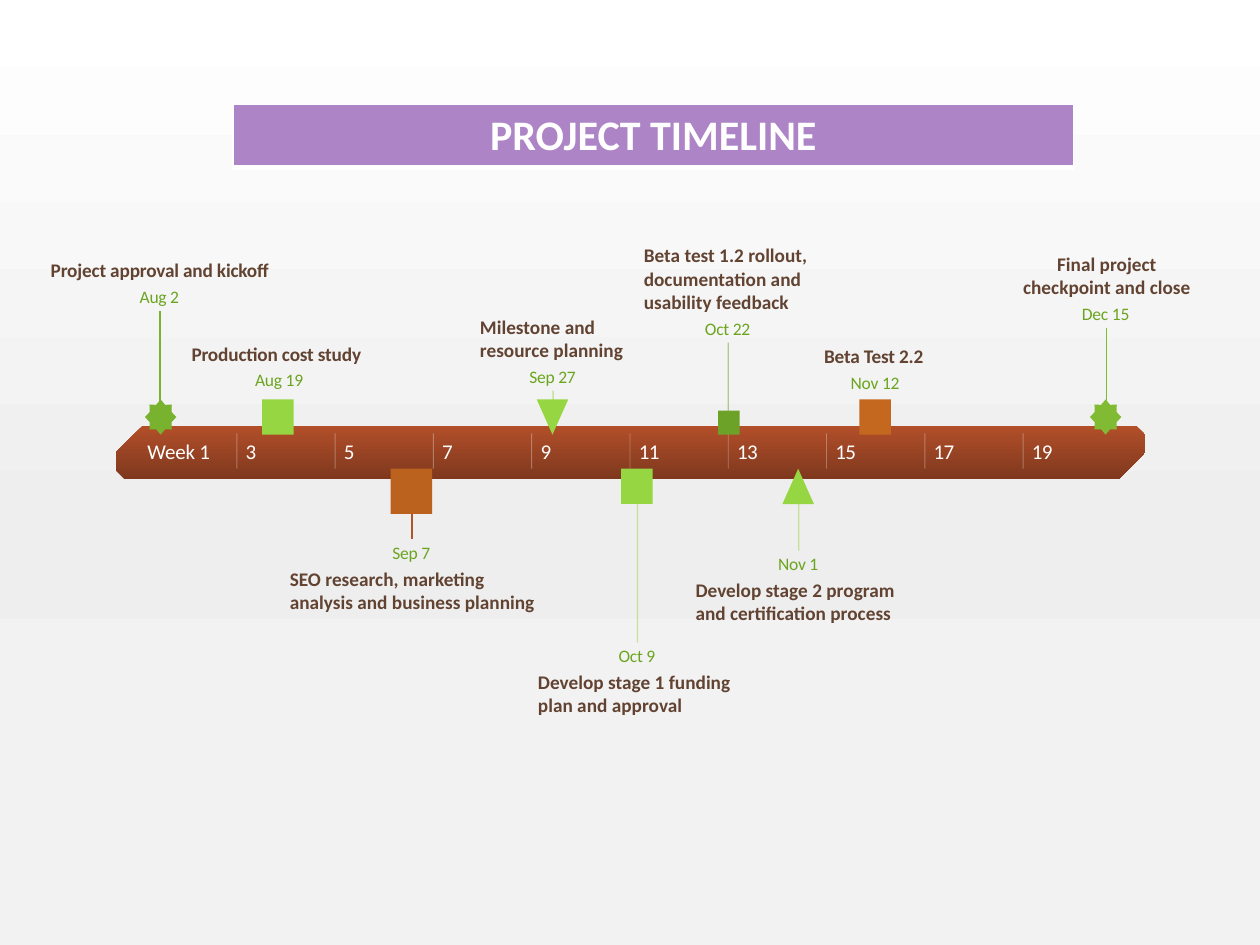
"""Build a project timeline slide with a week bar, milestones and a title band."""
from copy import deepcopy
from dataclasses import dataclass
from pptx import Presentation
from pptx.dml.color import RGBColor
from pptx.enum.shapes import MSO_CONNECTOR, MSO_SHAPE
from pptx.enum.text import MSO_ANCHOR, PP_ALIGN
from pptx.oxml.ns import qn
from pptx.oxml.xmlchemy import OxmlElement
from pptx.util import Inches, Pt

TITLE = "PROJECT TIMELINE"
WEEKS = ["Week 1", "3", "5", "7", "9", "11", "13", "15", "17", "19"]


@dataclass
class Event:
    """One milestone: wording, text place, date place and marker."""
    text: str
    left: float
    width: float
    rows: int
    date: str
    top: float
    mid: float
    kind: str
    color: str
    up: bool = True
    size: tuple = (0.25, 0.28)
    center: bool = False
    stem: str = ""
    alpha: int = 100


EVENTS = [
    Event("Project approval and kickoff", 0.38, 1.78, 1, "Aug 2", 2.27, 1.27,
          "star", "79B22E", center=True, stem="79B22E"),
    Event("Production cost study", 1.52, 1.38, 1, "Aug 19", 2.93, 2.21,
          "box", "96D642"),
    Event("Milestone and resource planning", 3.81, 1.14, 2, "Sep 27", 2.9, 4.39,
          "wedge", "96D642", stem="96D642", alpha=50),
    Event("Beta test 1.2 rollout, documentation and usability feedback",
          5.11, 1.33, 3, "Oct 22", 2.52, 5.78,
          "box", "6DA228", size=(0.17, 0.19), stem="6DA228", alpha=50),
    Event("Beta Test 2.2", 6.54, 0.81, 1, "Nov 12", 2.95, 6.94,
          "box", "C46820"),
    Event("Final project checkpoint and close", 8.12, 1.33, 2, "Dec 15", 2.4, 8.78,
          "star", "81BB34", center=True, stem="81BB34"),
    Event("SEO research, marketing analysis and business planning",
          2.3, 1.95, 2, "Sep 7", 4.3, 3.27,
          "box", "BA621E", up=False, size=(0.33, 0.36), stem="B1542C"),
    Event("Develop stage 1 funding plan and approval", 4.27, 1.57, 2, "Oct 9", 5.12, 5.06,
          "box", "96D642", up=False, stem="96D642", alpha=50),
    Event("Develop stage 2 program and certification process",
          5.52, 1.61, 2, "Nov 1", 4.39, 6.34,
          "wedge", "96D642", up=False, stem="96D642", alpha=50),
]


@dataclass(frozen=True)
class Theme:
    """Colours, font and type sizes."""
    font: str = "Calibri"
    white: str = "FFFFFF"
    label: str = "624332"
    date: str = "6BA51F"
    band: str = "AD84C6"
    bar: tuple = ((0, "B24F29"), (100, "7F381E"))
    back: tuple = ((0, "FFFFFF"), (57, "EEEEEE"), (74, "F2F2F2"), (100, "F2F2F2"))
    head: int = 24
    week: int = 12
    body: int = 11
    small: int = 10


LOOK = Theme()
KINDS = {"star": MSO_SHAPE.STAR_8_POINT, "box": MSO_SHAPE.RECTANGLE,
         "wedge": MSO_SHAPE.ISOSCELES_TRIANGLE}
HEIGHTS = {1: 0.19, 2: 0.37, 3: 0.56}

deck = Presentation()
deck.slide_width, deck.slide_height = Inches(10), Inches(7.5)
slide = deck.slides.add_slide(deck.slide_layouts[6])
shapes = slide.shapes


def place(*lengths):
    return [Inches(round(n, 2)) for n in lengths]


def write(frame, text, size=11, color=LOOK.white, bold=False, align=PP_ALIGN.LEFT, track=0):
    para = frame.paragraphs[0]
    para.alignment = align
    run = para.add_run()
    run.text = text
    font = run.font
    font.name, font.size, font.bold = LOOK.font, Pt(size), bold
    font.color.rgb = RGBColor.from_string(color)
    if track:
        run.font._element.set("spc", str(track))


def label(text, left, top, width, height, wrap=False, **style):
    frame = shapes.add_textbox(*place(left, top, width, height)).text_frame
    frame.margin_left = frame.margin_top = frame.margin_right = frame.margin_bottom = 0
    frame.word_wrap, frame.vertical_anchor = wrap, MSO_ANCHOR.MIDDLE
    write(frame, text, **style)


def blend(fill, owner, stops):
    fill.gradient()
    fill.gradient_angle = 270
    group = owner.find(".//" + qn("a:gsLst"))
    while len(group) < len(stops):
        group.append(deepcopy(group[0]))
    for stop, (spot, color) in zip(fill.gradient_stops, stops):
        stop.position = spot / 100
        stop.color.rgb = RGBColor.from_string(color)


def rule(x, top, end, color, weight, alpha):
    line = shapes.add_connector(MSO_CONNECTOR.STRAIGHT, *place(x, top, x, end))
    line.line.width = Pt(weight)
    line.line.color.rgb = RGBColor.from_string(color)
    props = line.element.spPr
    if alpha < 100:
        clear = OxmlElement("a:alpha")
        clear.set("val", str(alpha * 1000))
        props.find(".//" + qn("a:srgbClr")).append(clear)
    props.append(OxmlElement("a:effectLst"))


def solid(kind, left, top, width, height):
    shape = shapes.add_shape(kind, *place(left, top, width, height))
    shape.shadow.inherit = False
    shape.line.fill.background()
    return shape


def stem(event):
    half = event.size[1] / 2
    if event.up:
        ends = event.top + 0.2, 3.45 - half
    else:
        ends = 3.72 + half, event.top - 0.02
    rule(event.mid, *ends, event.stem, 0.75, event.alpha)


def mark(event):
    high = HEIGHTS[event.rows]
    top = event.top - 0.03 - high if event.up else event.top + 0.2
    label(event.text, event.left, top, event.width, high, wrap=event.rows > 1,
          size=LOOK.body, color=LOOK.label, bold=True,
          align=PP_ALIGN.CENTER if event.center else PP_ALIGN.LEFT,
          track=-10 if event.rows == 1 else 0)
    wide = 0.39 if len(event.date) > 5 else 0.33
    label(event.date, event.mid - wide / 2, event.top, wide, 0.17,
          size=LOOK.small, color=LOOK.date, align=PP_ALIGN.CENTER, track=-10)
    width, height = event.size
    shape = solid(KINDS[event.kind], event.mid - width / 2,
                  3.45 - height if event.up else 3.72, width, height)
    shape.fill.solid()
    shape.fill.fore_color.rgb = RGBColor.from_string(event.color)
    if event.kind == "wedge" and event.up:
        shape.element.spPr.find(qn("a:xfrm")).set("flipV", "1")


def banner():
    holder = shapes.add_table(1, 1, *place(1.85, 0.83, 6.67, 0.5))
    holder.table.rows[0].height = Inches(0.41)
    holder.height = Inches(0.5)
    cell = holder.table.cell(0, 0)
    props = cell._tc.get_or_add_tcPr()
    for side, weight in zip("LRTB", (1, 1, 1, 3)):
        edge = OxmlElement("a:ln" + side)
        edge.set("w", str(Pt(weight)))
        paint = OxmlElement("a:solidFill")
        color = OxmlElement("a:srgbClr")
        color.set("val", LOOK.white)
        paint.append(color)
        edge.append(paint)
        props.append(edge)
    cell.fill.solid()
    cell.fill.fore_color.rgb = RGBColor.from_string(LOOK.band)
    write(cell.text_frame, TITLE, size=LOOK.head, bold=True, align=PP_ALIGN.CENTER)


blend(slide.background.fill, slide.element, LOOK.back)
for event in reversed(EVENTS):
    if event.stem:
        stem(event)
bar = solid(MSO_SHAPE.SNIP_2_DIAG_RECTANGLE, 0.92, 3.38, 8.17, 0.42)
bar.adjustments[0], bar.adjustments[1] = 1, 0.167
blend(bar.fill, bar.element, LOOK.bar)
for step, week in enumerate(WEEKS):
    tick = 1.1 + 0.78 * step
    if step:
        rule(tick, 3.44, 3.72, LOOK.white, 0.5, 30)
    label(week, tick + 0.07, 3.48, 0.085 * len(week), 0.2, size=LOOK.week,
          track=-30 if step else -10)
for event in EVENTS:
    mark(event)
banner()
deck.save("out.pptx")
